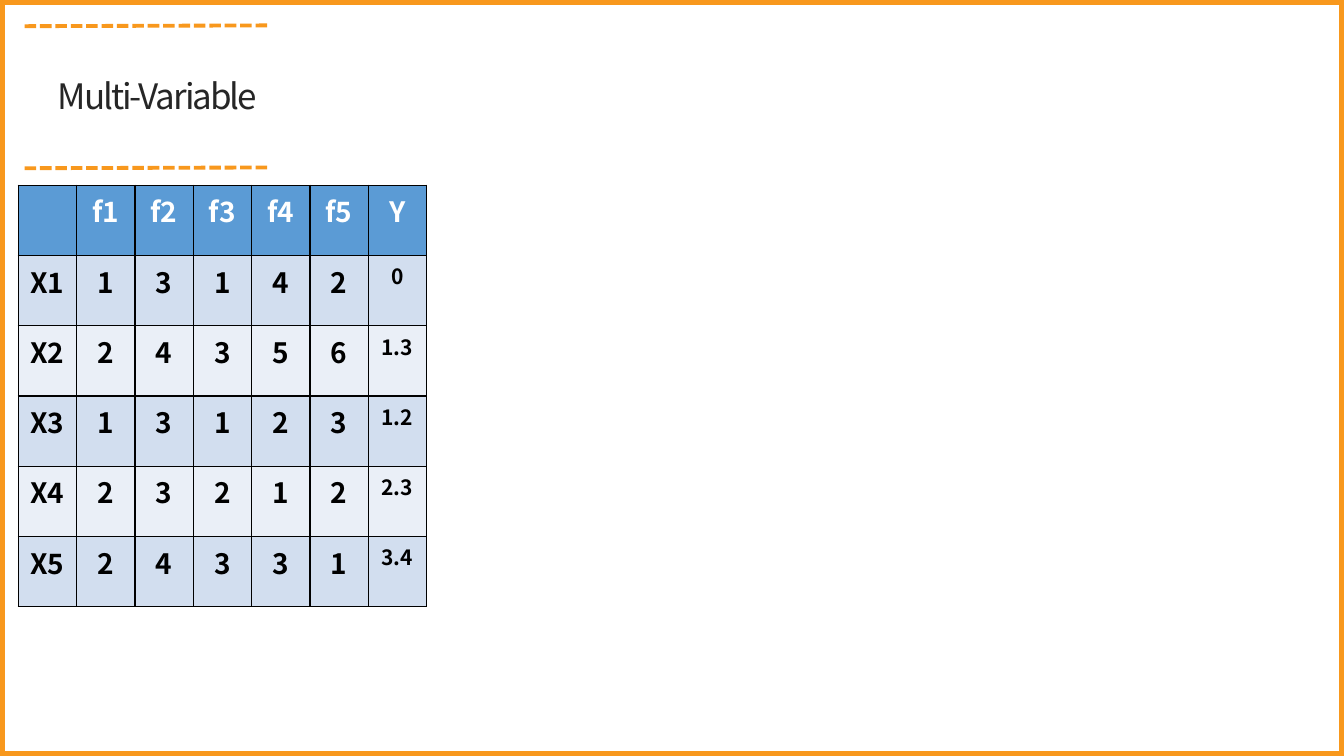
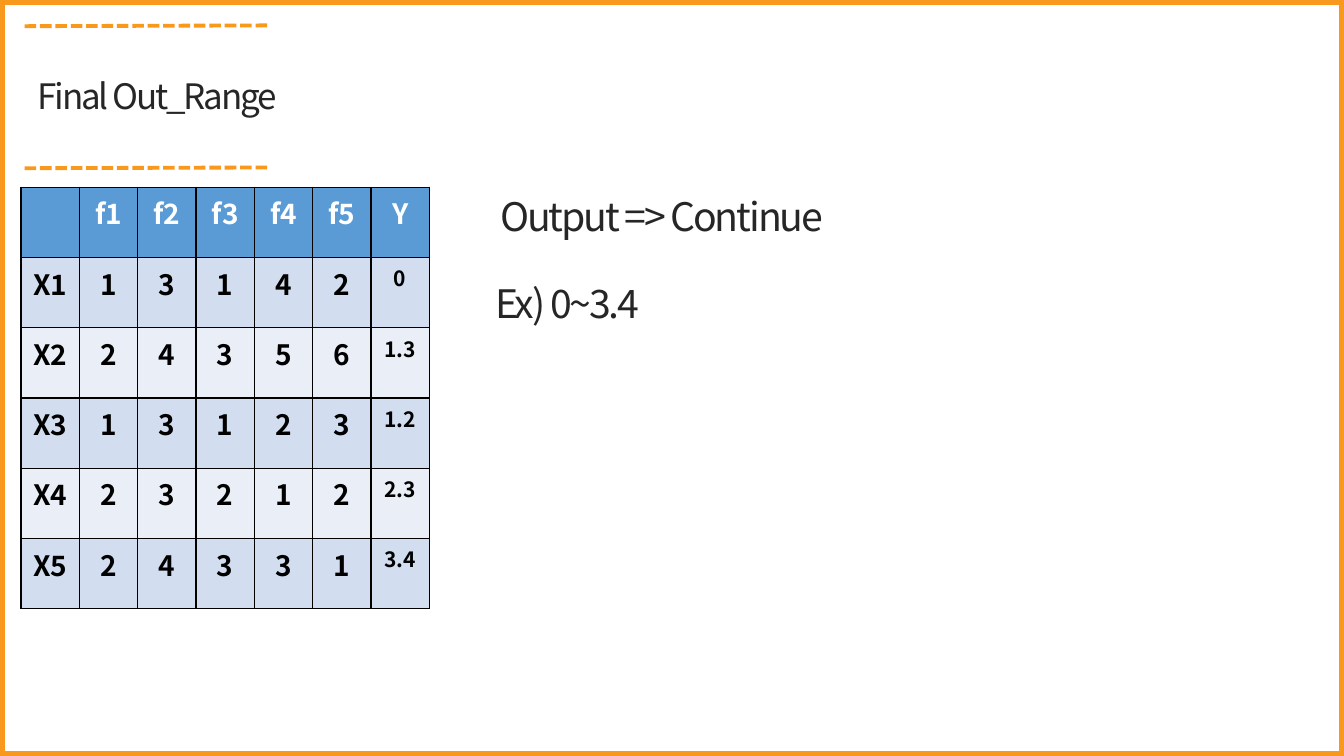
from dataclasses import dataclass

from lxml import etree
from pptx import Presentation
from pptx.dml.color import RGBColor
from pptx.enum.dml import MSO_LINE_DASH_STYLE
from pptx.enum.shapes import MSO_CONNECTOR_TYPE, MSO_SHAPE
from pptx.enum.text import MSO_ANCHOR, MSO_AUTO_SIZE, PP_ALIGN
from pptx.oxml.ns import qn
from pptx.presentation import Presentation as Deck
from pptx.slide import Slide
from pptx.table import _Cell as Cell
from pptx.text.text import TextFrame
from pptx.util import Cm, Pt

RECTANGLE = MSO_SHAPE.RECTANGLE
STRAIGHT = MSO_CONNECTOR_TYPE.STRAIGHT
SHORT_DASH = MSO_LINE_DASH_STYLE.SQUARE_DOT
CENTER = PP_ALIGN.CENTER
MIDDLE = MSO_ANCHOR.MIDDLE
GROW = MSO_AUTO_SIZE.SHAPE_TO_FIT_TEXT
TITLE_ONLY = 5


@dataclass(frozen=True)
class Theme:
    """Colours, font and sizes (points) of the deck."""
    font: str = "Noto Sans CJK KR"
    accent: str = "F8981D"
    ink: str = "262626"
    header: str = "5B9BD5"
    header_text: str = "FFFFFF"
    bands: tuple[str, str] = ("D2DEEF", "EAEFF7")
    cell_text: str = "000000"
    grid: str = "000000"
    title_size: float = 25
    note_size: float = 28
    cell_size: float = 20
    output_size: float = 15
    frame_width: float = 3.75
    rule_width: float = 2.75
    grid_width: float = 1
    tight: float = -1.5


@dataclass(frozen=True)
class Box:
    """Position and size in centimetres."""
    left: float
    top: float
    width: float
    height: float


@dataclass(frozen=True)
class Note:
    """A line of text beside the table."""
    text: str
    box: Box


@dataclass(frozen=True)
class Page:
    """What differs from slide to slide."""
    title: str
    table_left: float
    table_top: float
    notes: tuple[Note, ...] = ()


THEME = Theme()
SLIDE_WIDTH, SLIDE_HEIGHT = 33.87, 19.05
FRAME = Box(0.05, 0.05, SLIDE_WIDTH - 0.1, SLIDE_HEIGHT - 0.1)
TITLE = Box(-0.76, 1.75, 9.45, 1.32)
RULE_LEFT, RULE_RIGHT, RULE_RISE = 0.58, 6.73, 0.02
RULE_TOPS = (0.64, 4.22)
COLUMN_WIDTH, ROW_HEIGHT = 1.47, 1.77

SAMPLES = (
    ("", "f1", "f2", "f3", "f4", "f5", "Y"),
    ("X1", "1", "3", "1", "4", "2", "0"),
    ("X2", "2", "4", "3", "5", "6", "1.3"),
    ("X3", "1", "3", "1", "2", "3", "1.2"),
    ("X4", "2", "3", "2", "1", "2", "2.3"),
    ("X5", "2", "4", "3", "3", "1", "3.4"),
)

PAGES = (
    Page("Multi-Variable", 0.46, 4.67),
    Page("Final Out_Range", 0.53, 4.72, (
        Note("Output => Continue", Box(12.19, 4.72, 8.97, 1.45)),
        Note("Ex) 0~3.4", Box(12.19, 6.91, 4.22, 1.45)),
    )),
)


def lengths(box: Box) -> tuple[Cm, Cm, Cm, Cm]:
    """Return a box as left, top, width and height lengths."""
    return Cm(box.left), Cm(box.top), Cm(box.width), Cm(box.height)


def write(frame: TextFrame, text: str, size: float, color: str,
          bold: bool = False, spacing: float = 0) -> None:
    """Add one centred run to the first paragraph."""
    paragraph = frame.paragraphs[0]
    paragraph.alignment = CENTER
    run = paragraph.add_run()
    run.text = text
    run.font.name = THEME.font
    run.font.size = Pt(size)
    run.font.bold = bold
    run.font.color.rgb = RGBColor.from_string(color)
    if spacing:
        run.font._element.set("spc", str(round(spacing * 100)))


def write_heading(frame: TextFrame, text: str, size: float, wrap: bool) -> None:
    """Write tightly spaced text in the middle of its box."""
    frame.word_wrap = wrap
    frame.auto_size = GROW
    frame.vertical_anchor = MIDDLE
    write(frame, text, size, THEME.ink, spacing=THEME.tight)


def decorate_layout(deck: Deck, slide: Slide) -> None:
    """Draw the frame and dashed rules, then move them to the layout."""
    frame = slide.shapes.add_shape(RECTANGLE, *lengths(FRAME))
    frame.shadow.inherit = False
    frame.fill.background()
    frame.line.color.rgb = RGBColor.from_string(THEME.accent)
    frame.line.width = Pt(THEME.frame_width)
    decorations = [frame]
    for top in RULE_TOPS:
        rule = slide.shapes.add_connector(
            STRAIGHT, Cm(RULE_RIGHT), Cm(top), Cm(RULE_LEFT), Cm(top + RULE_RISE))
        rule.line.color.rgb = RGBColor.from_string(THEME.accent)
        rule.line.width = Pt(THEME.rule_width)
        rule.line.dash_style = SHORT_DASH
        etree.SubElement(rule.element.spPr, qn("a:effectLst"))
        decorations.append(rule)
    layout_shapes = deck.slide_layouts[TITLE_ONLY].shapes
    next_id = max(shape.shape_id for shape in layout_shapes) + 1
    for shape_id, decoration in enumerate(decorations, next_id):
        decoration.element.xpath("./*/p:cNvPr")[0].set("id", str(shape_id))
        layout_shapes.element.append(decoration.element)


def style_cell(cell: Cell, fill: str) -> None:
    """Give a cell its grid lines and fill."""
    properties = cell._tc.get_or_add_tcPr()
    for side in ("a:lnL", "a:lnR", "a:lnT", "a:lnB"):
        border = etree.SubElement(properties, qn(side), w=str(Pt(THEME.grid_width)))
        paint = etree.SubElement(border, qn("a:solidFill"))
        etree.SubElement(paint, qn("a:srgbClr"), val=THEME.grid)
    cell.fill.solid()
    cell.fill.fore_color.rgb = RGBColor.from_string(fill)


def add_samples(slide: Slide, left: float, top: float) -> None:
    """Add the table of samples, features and outputs."""
    row_count, column_count = len(SAMPLES), len(SAMPLES[0])
    box = Box(left, top, column_count * COLUMN_WIDTH, row_count * ROW_HEIGHT)
    table = slide.shapes.add_table(row_count, column_count, *lengths(box)).table
    for column in table.columns:
        column.width = Cm(COLUMN_WIDTH)
    for row in table.rows:
        row.height = Cm(ROW_HEIGHT)
    for row_index, values in enumerate(SAMPLES):
        is_header = row_index == 0
        fill = THEME.header if is_header else THEME.bands[(row_index - 1) % 2]
        color = THEME.header_text if is_header else THEME.cell_text
        for column_index, value in enumerate(values):
            cell = table.cell(row_index, column_index)
            style_cell(cell, fill)
            is_output = column_index == column_count - 1 and not is_header
            size = THEME.output_size if is_output else THEME.cell_size
            if value:
                write(cell.text_frame, value, size, color, bold=True)


def fill_page(slide: Slide, page: Page) -> None:
    """Add the title, table and notes of one page."""
    title = slide.shapes.title
    title.left, title.top, title.width, title.height = lengths(TITLE)
    write_heading(title.text_frame, page.title, THEME.title_size, wrap=True)
    add_samples(slide, page.table_left, page.table_top)
    for note in page.notes:
        note_box = slide.shapes.add_textbox(*lengths(note.box))
        write_heading(note_box.text_frame, note.text, THEME.note_size, wrap=False)


def main() -> None:
    """Build and save the deck."""
    deck = Presentation()
    deck.slide_width, deck.slide_height = Cm(SLIDE_WIDTH), Cm(SLIDE_HEIGHT)
    slides = [deck.slides.add_slide(deck.slide_layouts[TITLE_ONLY]) for _ in PAGES]
    decorate_layout(deck, slides[0])
    for slide, page in zip(slides, PAGES):
        fill_page(slide, page)
    deck.save("out.pptx")


main()
